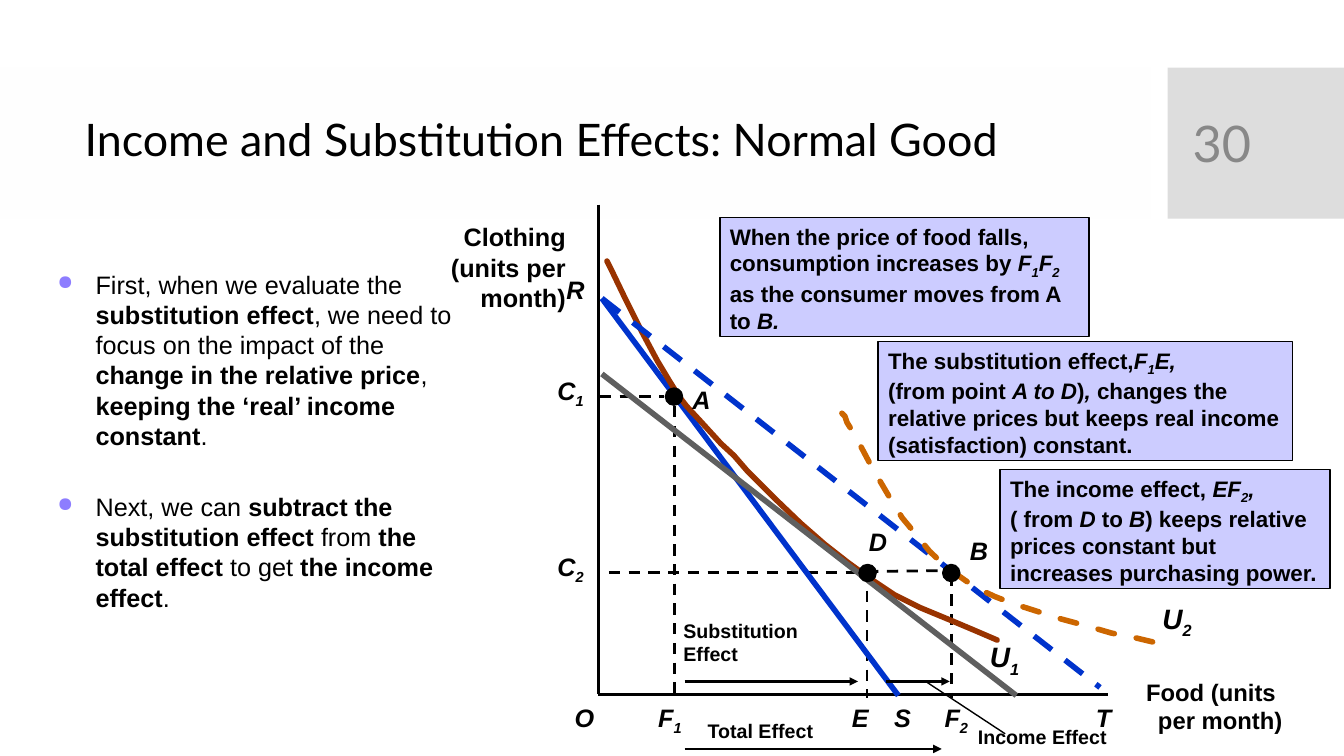
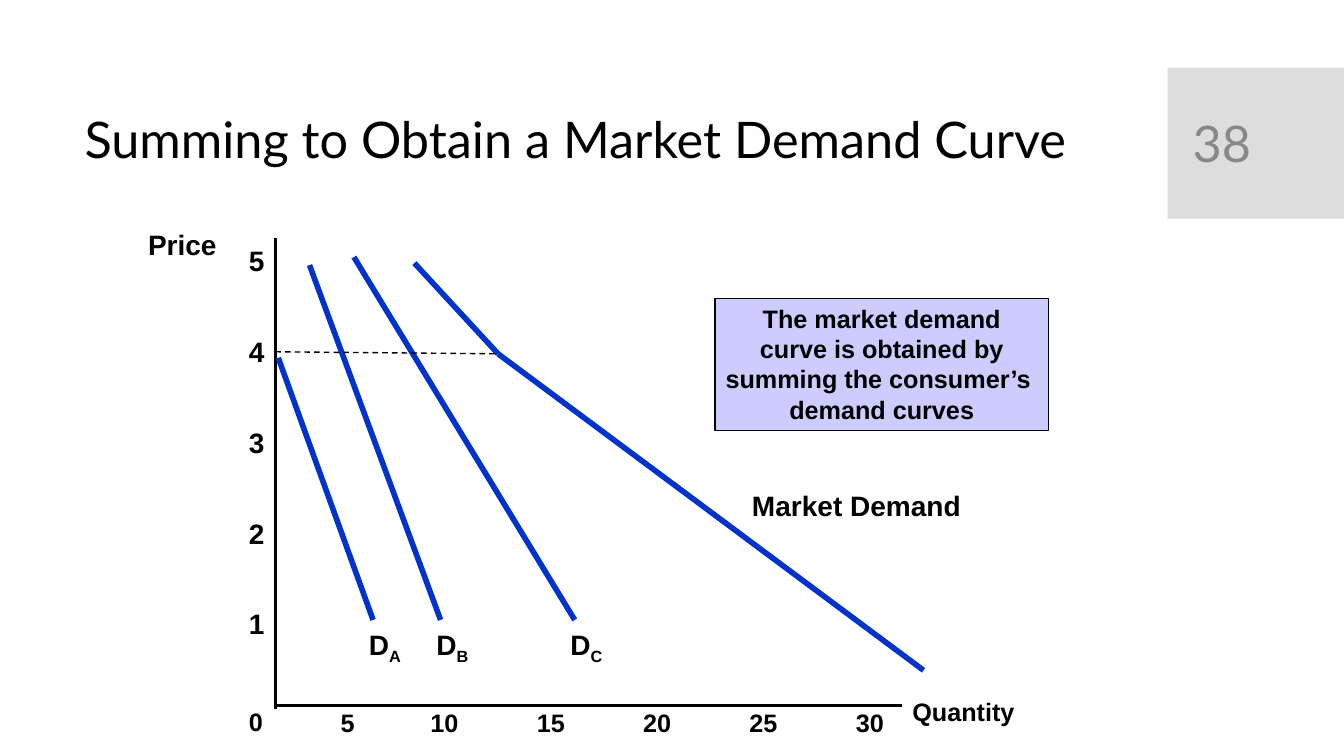
from lxml import etree
from pptx import Presentation
from pptx import util as u
from pptx.dml import color
from pptx.enum import dml, shapes, text
from pptx.oxml import ns

CM_PER_UNIT = 2.54
BLACK, BLUE, BROWN, ORANGE, GREY = "000000", "0033CC", "993300", "CC6600", "5F5F5F"
CARD, TITLE_BAND, NUMBER_BAND = "CCCCFF", "FEFEFE", "DDDDDD"
NUMBER_GREY, BULLET = "888888", "8D7DFF"
BODY_FONT, TITLE_FONT = "Arial", "Lato"
LEFT, CENTER, RIGHT = text.PP_ALIGN.LEFT, text.PP_ALIGN.CENTER, text.PP_ALIGN.RIGHT

U1_CURVE = [
    (6.02, 2.59), (6.07, 2.69), (6.2, 2.96), (6.36, 3.28), (6.52, 3.58),
    (6.64, 3.78), (6.74, 3.94), (6.81, 4.03), (6.94, 4.17), (7.15, 4.4),
    (7.28, 4.52), (7.41, 4.67), (7.69, 4.95), (7.94, 5.19), (8.18, 5.4),
    (8.41, 5.58), (8.63, 5.74), (8.87, 5.9), (9.13, 6.03), (9.42, 6.15),
    (9.68, 6.26), (9.89, 6.35),
]
U2_CURVE = [
    (8.35, 4.1), (8.38, 4.13), (8.4, 4.19), (8.48, 4.32), (8.65, 4.64),
    (8.85, 4.98), (8.95, 5.14), (9.05, 5.26), (9.22, 5.47), (9.39, 5.63),
    (9.59, 5.77), (9.72, 5.85), (9.87, 5.92), (10.05, 5.99), (10.27, 6.06),
    (10.52, 6.14), (10.78, 6.21), (11.02, 6.28), (11.27, 6.33), (11.48, 6.38),
    (11.63, 6.43),
]


def length(value):
    return u.Cm(value * CM_PER_UNIT)


def lengths(values):
    return [length(value) for value in values]


def rgb(value):
    return color.RGBColor.from_string(value)


def style_line(line, ink, width, dashed=False):
    line.color.rgb = rgb(ink)
    line.width = u.Pt(width)
    if dashed:
        line.dash_style = dml.MSO_LINE.DASH


def add_line(slide, start, end, ink=BLACK, width=2, dashed=False, arrow=False):
    connector = slide.shapes.add_connector(
        shapes.MSO_CONNECTOR.STRAIGHT, *lengths(start + end))
    style_line(connector.line, ink, width, dashed)
    properties = connector.element.spPr
    if arrow:
        outline = properties.find(ns.qn("a:ln"))
        etree.SubElement(outline, ns.qn("a:tailEnd"), type="triangle")
    etree.SubElement(properties, ns.qn("a:effectLst"))


def add_curve(slide, points, ink, dashed=False):
    first, *rest = [tuple(lengths(point)) for point in points]
    builder = slide.shapes.build_freeform(*first)
    builder.add_line_segments(rest, close=False)
    curve = builder.convert_to_shape()
    curve.shadow.inherit = False
    curve.fill.background()
    style_line(curve.line, ink, 4, dashed)
    curve.element.spPr.find(ns.qn("a:ln")).set("cap", "rnd")


def add_block(slide, box, fill, outline=None, kind=shapes.MSO_SHAPE.RECTANGLE):
    block = slide.shapes.add_shape(kind, *lengths(box))
    block.shadow.inherit = False
    block.fill.solid()
    block.fill.fore_color.rgb = rgb(fill)
    if outline:
        style_line(block.line, outline, 1)
    else:
        block.line.fill.background()
    return block


def write(frame, paragraphs, size, style="b", align=LEFT, font=BODY_FONT, ink=BLACK):
    for index, content in enumerate(paragraphs):
        paragraph = frame.add_paragraph() if index else frame.paragraphs[0]
        paragraph.alignment = align
        pieces = [(content, style)] if isinstance(content, str) else content
        for words, marks in pieces:
            run = paragraph.add_run()
            run.text = words
            run.font.name = font
            run.font.size = u.Pt(size)
            run.font.color.rgb = rgb(ink)
            run.font.bold = "b" in marks
            run.font.italic = "i" in marks
            if "_" in marks:
                run.font._element.set("baseline", "-25000")


def add_text(slide, box, paragraphs, size, wrap=False, **options):
    frame = slide.shapes.add_textbox(*lengths(box)).text_frame
    frame.word_wrap = wrap
    write(frame, paragraphs, size, **options)
    return frame


def add_label(slide, left, top, letter, subscript="", size=18, style="bi"):
    pieces = [(letter, style)]
    if subscript:
        pieces.append((subscript, style + "_"))
    width = 0.4 + 0.2 * len(subscript)
    add_text(slide, (left, top, width, 0.4), [pieces], size)


def add_card(slide, box, paragraphs, size=16, align=LEFT):
    frame = add_block(slide, box, CARD, BLACK).text_frame
    frame.word_wrap = True
    frame.vertical_anchor = text.MSO_ANCHOR.TOP
    write(frame, paragraphs, size, align=align)


def add_bullets(slide, box, paragraphs):
    frame = add_text(slide, box, paragraphs, 18, wrap=True)
    for index, paragraph in enumerate(frame.paragraphs):
        properties = paragraph._p.get_or_add_pPr()
        properties.set("marL", str(length(0.38)))
        properties.set("indent", str(-length(0.38)))
        bullet_color = etree.SubElement(properties, ns.qn("a:buClr"))
        etree.SubElement(bullet_color, ns.qn("a:srgbClr"), val=BULLET)
        etree.SubElement(properties, ns.qn("a:buSzPct"), val="80000")
        etree.SubElement(properties, ns.qn("a:buChar"), char="●")
        if index:
            paragraph.space_before = u.Pt(29)


def add_frame(deck, title, title_size, number):
    slide = deck.slides.add_slide(deck.slide_layouts[6])
    add_block(slide, (0, 0.67, 11.41, 1.5), TITLE_BAND)
    add_block(slide, (11.58, 0.67, 1.75, 1.5), NUMBER_BAND)
    heading = add_text(slide, (0.74, 0.82, 10.51, 1.18), [title], title_size,
                       wrap=True, style="", font=TITLE_FONT)
    heading.paragraphs[0].line_spacing = 0.9
    page = add_text(slide, (11.73, 0.82, 1.26, 1.19), [number], 36,
                    wrap=True, style="", font=TITLE_FONT, ink=NUMBER_GREY)
    for frame in (heading, page):
        frame.vertical_anchor = text.MSO_ANCHOR.MIDDLE
    return slide


def draw_effect_lines(slide):
    add_line(slide, (5.94, 2.03), (5.94, 6.89))
    add_line(slide, (5.93, 6.89), (10.99, 6.89))
    for start, end in [
        ((5.95, 3.93), (6.59, 3.93)), ((6.69, 4.03), (6.69, 6.92)),
        ((6.04, 5.68), (8.62, 5.68)), ((8.6, 5.67), (9.44, 5.66)),
        ((8.6, 5.86), (8.6, 6.92)), ((9.44, 5.7), (9.44, 6.92)),
    ]:
        add_line(slide, start, end, dashed=True)
    add_line(slide, (5.97, 2.96), (8.91, 6.9), BLUE, 4)
    add_curve(slide, U1_CURVE, BROWN)
    add_line(slide, (5.97, 2.96), (10.91, 6.82), BLUE, 4, dashed=True)
    add_curve(slide, U2_CURVE, ORANGE, dashed=True)
    add_line(slide, (5.97, 3.71), (10.08, 6.9), GREY, 4)
    for left, top in [(6.6, 3.85), (8.52, 5.6), (9.35, 5.6)]:
        add_block(slide, (left, top, 0.17, 0.17), BLACK, BLACK, shapes.MSO_SHAPE.OVAL)
    for left, right, height in [(8.79, 9.42, 6.76), (6.79, 8.51, 6.76), (6.79, 9.34, 7.43)]:
        add_line(slide, (left, height), (right, height), arrow=True)
    add_line(slide, (9.97, 7.28), (9.18, 6.76), width=1)


def draw_effect_labels(slide):
    add_text(slide, (11.26, 6.67, 1.56, 0.67), ["Food (units ", "per month)"], 17, align=RIGHT)
    add_text(slide, (4.36, 2.15, 1.35, 1.01), ["Clothing", "(units per", "month)"],
             18, align=RIGHT)
    for left, letter, subscript in [
        (5.6, "O", ""), (6.43, "F", "1"), (8.35, "E", ""),
        (8.77, "S", ""), (9.27, "F", "2"), (10.77, "T", ""),
    ]:
        add_label(slide, left, 6.92, letter, subscript)
    for left, top, letter, subscript in [
        (5.52, 2.67, "R", ""), (5.43, 3.67, "C", "1"), (5.43, 5.42, "C", "2"),
        (6.77, 3.76, "A", ""), (8.52, 5.17, "D", ""), (9.52, 5.26, "B", ""),
    ]:
        add_label(slide, left, top, letter, subscript)
    add_label(slide, 9.72, 6.3, "U", "1", size=20)
    add_label(slide, 11.43, 5.92, "U", "2", size=20)
    add_text(slide, (9.6, 7.14, 1.48, 0.33), ["Income Effect"], 14)
    add_text(slide, (6.92, 7.08, 1.25, 0.33), ["Total Effect"], 14)
    add_text(slide, (6.68, 6.09, 1.34, 0.57), ["Substitution", "Effect"], 14)


def build_effects(deck):
    slide = add_frame(deck, "Income and Substitution Effects: Normal Good", 32, "30")
    draw_effect_lines(slide)
    draw_effect_labels(slide)
    add_card(slide, (7.14, 2.16, 3.66, 1.18), [[
        ("When the price of food falls, consumption increases by ", "b"),
        ("F", "bi"), ("1", "bi_"), ("F", "bi"), ("2 ", "bi_"),
        ("as the consumer moves from A to ", "b"), ("B.", "bi"),
    ]])
    add_card(slide, (8.71, 3.39, 4.11, 1.18), [
        [("The substitution effect,", "b"), ("F", "bi"), ("1", "bi_"), ("E,", "bi")],
        [("(from point ", "b"), ("A to D", "bi"), (")", "b"), (", ", "bi"),
         ("changes the", "b")],
        "relative prices but keeps real income",
        "(satisfaction) constant.",
    ])
    add_card(slide, (9.92, 4.66, 3.27, 1.18), [
        [("The income effect, ", "b"), ("EF", "bi"), ("2", "bi_"), (",", "bi")],
        [("( from ", "b"), ("D ", "bi"), ("to", "b"), (" B", "bi"),
         (") keeps relative", "b")],
        "prices constant but",
        "increases purchasing power.",
    ])
    add_bullets(slide, (0.47, 2.62, 4.23, 4.05), [
        [("First, when we evaluate the ", ""), ("substitution effect", "b"),
         (", we need to focus on the impact of the ", ""),
         ("change in the relative price", "b"), (", ", ""),
         ("keeping the ‘real’ income constant", "b"), (".", "")],
        [("Next, we can ", ""), ("subtract the substitution effect", "b"),
         (" from ", ""), ("the total effect", "b"), (" to get ", ""),
         ("the income effect", "b"), (".", "")],
    ])


def build_market_demand(deck):
    slide = add_frame(deck, "Summing to Obtain a Market Demand Curve", 36, "38")
    add_line(slide, (2.74, 7), (8.95, 7))
    add_line(slide, (2.73, 2.36), (2.73, 7.03))
    add_text(slide, (1.37, 2.21, 0.96, 0.43), ["Price"], 20)
    add_text(slide, (8.95, 6.86, 1.29, 0.4), ["Quantity"], 18)
    for price in range(1, 6):
        add_label(slide, 2.37, 6.87 - 0.9 * price, str(price), size=20, style="b")
    add_label(slide, 2.37, 6.96, "0", style="b")
    add_label(slide, 3.28, 6.97, "5", style="b")
    for step, quantity in enumerate(range(10, 31, 5)):
        add_text(slide, (4.17 + 1.055 * step, 6.97, 0.48, 0.4), [str(quantity)], 18)
    for consumer, start, end in [
        ("A", (2.76, 3.55), (3.7, 6.15)),
        ("B", (3.07, 2.63), (4.37, 6.15)),
        ("C", (3.51, 2.55), (5.7, 6.15)),
    ]:
        add_line(slide, start, end, BLUE, 4)
        add_label(slide, end[0] - 0.14, 6.18, "D", consumer, size=20, style="b")
    kink = (4.94, 3.51)
    add_line(slide, (4.11, 2.61), kink, BLUE, 4)
    add_line(slide, kink, (9.16, 6.65), BLUE, 4)
    add_line(slide, (2.73, 3.49), kink, width=1, dashed=True)
    add_text(slide, (7.36, 4.8, 2.29, 0.44), ["Market Demand"], 20)
    add_card(slide, (7.09, 2.96, 3.31, 1.31), [
        "The market demand", "curve is obtained by",
        "summing the consumer’s ", "demand curves",
    ], size=18, align=CENTER)


def main():
    deck = Presentation()
    deck.slide_width, deck.slide_height = lengths((13.33, 7.5))
    build_effects(deck)
    build_market_demand(deck)
    deck.save("out.pptx")


if __name__ == "__main__":
    main()
